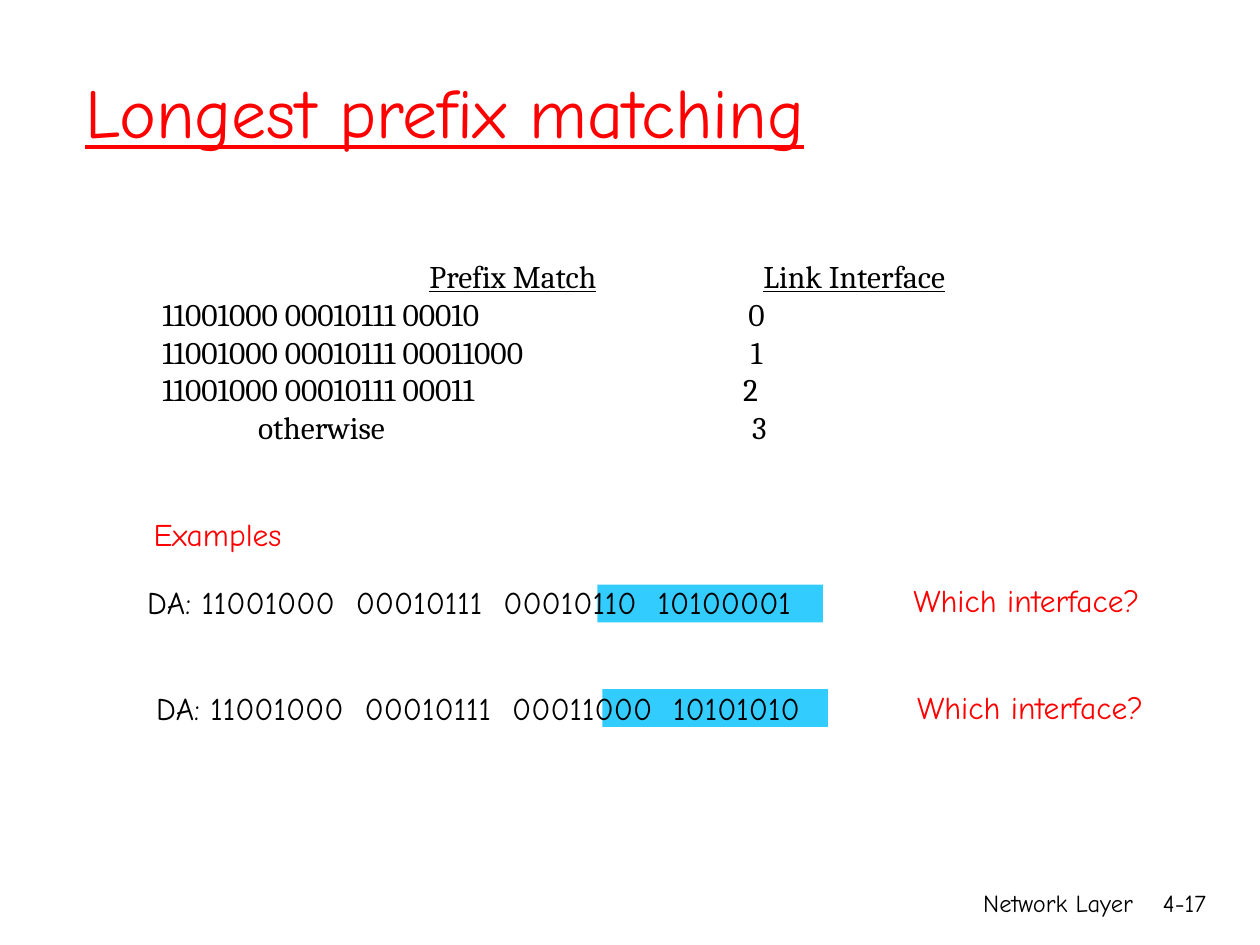
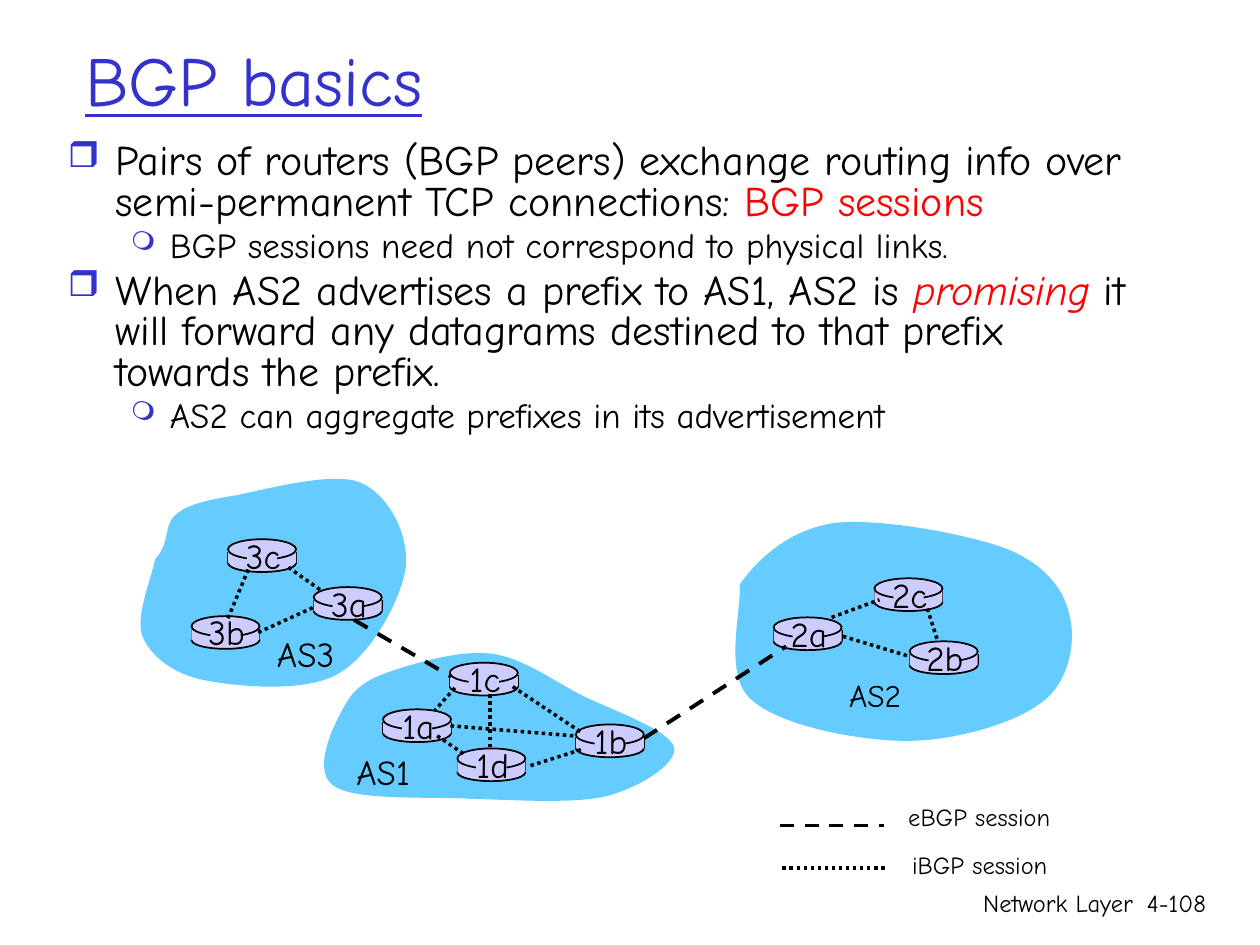
"""Builds two network layer slides: longest prefix matching and BGP basics."""
from lxml import etree
from pptx import Presentation
from pptx.dml.color import RGBColor
from pptx.enum import dml, shapes, text
from pptx.oxml.ns import qn
from pptx.util import Inches, Pt

BLACK = RGBColor(0x00, 0x00, 0x00)
RED = RGBColor(0xFF, 0x00, 0x00)
INDIGO = RGBColor(0x33, 0x33, 0xCC)
HIGHLIGHT = RGBColor(0x33, 0xCC, 0xFF)
CLOUD = RGBColor(0x66, 0xCC, 0xFF)
ROUTER = RGBColor(0xCC, 0xCC, 0xFF)
HAND, SERIF = "Comic Neue", "Cambria"
LEFT, CENTER, RIGHT = text.PP_ALIGN.LEFT, text.PP_ALIGN.CENTER, text.PP_ALIGN.RIGHT
DASH, DOT = dml.MSO_LINE.DASH, dml.MSO_LINE.ROUND_DOT

# (first column, second column, first tab stop, second tab stop)
FORWARDING = [
    ("Prefix Match", "Link Interface", 2.67, 5.32),
    ("11001000 00010111 00010", "0", 0.55, 5.2),
    ("11001000 00010111 00011000", "1", 0.55, 5.22),
    ("11001000 00010111 00011", "2", 0.55, 5.16),
    ("otherwise", "3", 1.31, 5.23),
]
# (address, address corner, highlight corner, question corner)
EXAMPLES = [
    ("DA: 11001000  00010111  00010110  10100001", (1.07, 4.58), (4.74, 4.64), (7.15, 4.56)),
    ("DA: 11001000  00010111  00011000  10101010", (1.14, 5.42), (4.78, 5.47), (7.18, 5.41)),
]
BGP_POINTS = [
    (0, [("Pairs of routers (BGP peers) exchange routing info over semi-permanent "
          "TCP connections: ", BLACK, False), ("BGP sessions", RED, False)]),
    (1, [("BGP sessions need not correspond to physical links.", BLACK, False)]),
    (0, [("When AS2 advertises a prefix to AS1, AS2 is ", BLACK, False),
         ("promising", RED, True),
         (" it will forward any datagrams destined to that prefix towards the prefix.",
          BLACK, False)]),
    (1, [("AS2 can aggregate prefixes in its advertisement", BLACK, False)]),
]
# (bullet, bullet percent, left margin, hanging indent, text size)
LEVELS = [("❒", 85, 0.38, 0.38, 24), ("❍", 75, 0.81, 0.31, 20)]

# Start point, then (control, control, end) for each curve
CLOUDS = [
    ((5.87, 4.64), [
        (6.02, 4.43, 6.27, 4.2, 6.63, 4.15), (6.98, 4.11, 7.69, 4.24, 8, 4.36),
        (8.31, 4.49, 8.45, 4.69, 8.49, 4.89), (8.54, 5.09, 8.49, 5.42, 8.26, 5.58),
        (8.04, 5.75, 7.54, 5.89, 7.15, 5.88), (6.76, 5.87, 6.16, 5.75, 5.95, 5.54),
        (5.74, 5.34, 5.89, 4.83, 5.87, 4.64)]),
    ((1.23, 4.44), [
        (1.36, 4.3, 1.29, 4.17, 1.4, 4.08), (1.5, 4, 1.64, 3.97, 1.88, 3.93),
        (2.13, 3.88, 2.64, 3.74, 2.86, 3.83), (3.09, 3.93, 3.25, 4.25, 3.22, 4.51),
        (3.18, 4.76, 2.95, 5.2, 2.68, 5.35), (2.42, 5.5, 1.88, 5.45, 1.63, 5.4),
        (1.37, 5.35, 1.2, 5.21, 1.13, 5.05), (1.07, 4.89, 1.21, 4.57, 1.23, 4.44)]),
    ((2.76, 5.56), [
        (2.86, 5.4, 3.03, 5.35, 3.22, 5.29), (3.42, 5.23, 3.69, 5.16, 3.92, 5.19),
        (4.15, 5.23, 4.36, 5.38, 4.6, 5.51), (4.84, 5.63, 5.31, 5.79, 5.35, 5.93),
        (5.38, 6.06, 5.08, 6.25, 4.81, 6.32), (4.55, 6.38, 4.1, 6.35, 3.74, 6.34),
        (3.38, 6.32, 2.8, 6.36, 2.64, 6.23), (2.47, 6.1, 2.66, 5.72, 2.76, 5.56)]),
]
ROUTERS = {
    "3b": (1.52, 4.89), "1d": (3.63, 5.94), "3a": (2.49, 4.66), "1c": (3.57, 5.26),
    "2a": (6.14, 4.9), "1a": (3.04, 5.63), "2c": (6.94, 4.59), "2b": (7.22, 5.09),
    "1b": (4.57, 5.75), "3c": (1.81, 4.28),
}
EBGP = [(2.81, 4.92, 3.58, 5.37), (5.11, 5.86, 6.24, 5.13)]
IBGP = [
    (6.69, 5.05, 7.22, 5.21), (2.05, 5.02, 2.49, 4.82), (3.61, 5.46, 3.45, 5.64),
    (3.89, 5.51, 3.89, 5.93), (4.07, 5.45, 4.61, 5.81), (4.61, 5.95, 4.2, 6.08),
    (4.55, 5.84, 3.57, 5.76), (6.6, 4.9, 6.98, 4.76), (2.54, 4.68, 2.27, 4.49),
    (1.97, 4.52, 1.8, 4.93), (7.36, 4.83, 7.44, 5.08), (3.47, 5.84, 3.69, 5.99),
]
SYSTEMS = [("AS3", 2.1, 4.97, 0.77, 20), ("AS1", 2.73, 5.91, 0.72, 20),
           ("AS2", 6.64, 5.32, 0.71, 18)]
# (label, label corner, line start, line style)
LEGEND = [("eBGP session", (7.11, 6.32), (6.19, 6.55), DASH),
          ("iBGP session", (7.14, 6.7), (6.21, 6.89), DOT)]


def add_frame(slide, left, top, width, height, grow=False):
    box = slide.shapes.add_textbox(*map(Inches, (left, top, width, height)))
    frame = box.text_frame
    frame.word_wrap = not grow
    if grow:
        frame.auto_size = text.MSO_AUTO_SIZE.SHAPE_TO_FIT_TEXT
    return frame


def style(paragraph, size, color=None, face=HAND):
    paragraph.font.name = face
    paragraph.font.size = Pt(size)
    if color is not None:
        paragraph.font.color.rgb = color


def add_label(slide, words, bounds, size, color=BLACK, align=LEFT, grow=True):
    frame = add_frame(slide, *bounds, grow=grow)
    paragraph = frame.paragraphs[0]
    paragraph.text = words
    paragraph.alignment = align
    style(paragraph, size, color)
    return frame


def paint(shape, fill):
    shape.shadow.inherit = False
    shape.fill.solid()
    shape.fill.fore_color.rgb = fill
    shape.line.fill.background()


def add_shape(slide, kind, bounds, fill, outlined=False):
    shape = slide.shapes.add_shape(kind, *map(Inches, bounds))
    paint(shape, fill)
    if outlined:
        shape.line.color.rgb = BLACK
        shape.line.width = Pt(1)


def add_line(slide, ends, width, dash=None):
    line = slide.shapes.add_connector(shapes.MSO_CONNECTOR.STRAIGHT, *map(Inches, ends))
    line.line.color.rgb = BLACK
    line.line.width = Pt(width)
    if dash is not None:
        line.line.dash_style = dash
    etree.SubElement(line._element.spPr, qn("a:effectLst"))


def add_cloud(slide, start, curves):
    outline = slide.shapes.build_freeform(*map(Inches, start))
    outline.add_line_segments(
        [(Inches(curve[i]), Inches(curve[i + 1])) for curve in curves for i in (0, 2, 4)])
    cloud = outline.convert_to_shape()
    paint(cloud, CLOUD)
    segments = list(cloud._element.iter(qn("a:lnTo")))
    for first, second, end in zip(segments[::3], segments[1::3], segments[2::3]):
        first.addprevious(bezier := etree.Element(qn("a:cubicBezTo")))
        for segment in (first, second, end):
            bezier.append(segment[0])
            segment.getparent().remove(segment)
    etree.SubElement(bezier.getparent(), qn("a:close"))


def add_router(slide, label, x, y):
    oval, rect = shapes.MSO_SHAPE.OVAL, shapes.MSO_SHAPE.RECTANGLE
    width = 0.54
    add_shape(slide, oval, (x, y + 0.12, width, 0.14), ROUTER, outlined=True)
    for side in (x, x + width):
        add_line(slide, (side, y + 0.1, side, y + 0.19), 1)
    add_shape(slide, rect, (x, y + 0.1, width, 0.09), ROUTER)
    add_shape(slide, oval, (x, y, width, 0.16), ROUTER, outlined=True)
    add_shape(slide, rect, (x + 0.15, y + 0.02, 0.24, 0.21), ROUTER)
    add_label(slide, label, (x + 0.01, y - 0.09, width, 0.43), 20, align=CENTER)


def start_slide(deck, title, top, color, number):
    slide = deck.slides.add_slide(deck.slide_layouts[6])
    add_label(slide, "Network Layer", (5.92, 7, 3.17, 0.5), 14, align=RIGHT, grow=False)
    add_label(slide, number, (8.93, 7, 0.74, 0.5), 14, align=RIGHT, grow=False)
    heading = add_label(slide, title, (0.58, top, 8.5, 1.25), 40, color, grow=False)
    heading.vertical_anchor = text.MSO_ANCHOR.MIDDLE
    heading.paragraphs[0].font.underline = True
    return slide


def add_forwarding(slide):
    frame = add_frame(slide, 0.64, 1.99, 7.15, 1.6)
    frame.vertical_anchor = text.MSO_ANCHOR.MIDDLE
    for row, (prefix, link, *stops) in enumerate(FORWARDING):
        paragraph = frame.paragraphs[0] if row == 0 else frame.add_paragraph()
        tabs = etree.SubElement(paragraph._p.get_or_add_pPr(), qn("a:tabLst"))
        for stop in stops:
            etree.SubElement(tabs, qn("a:tab"), pos=str(Inches(stop)), algn="l")
        style(paragraph, 18, BLACK, SERIF)
        for words in ("\t", prefix, "\t", link):
            run = paragraph.add_run()
            run.text = words
            if row == 0:
                run.font.underline = words != "\t"


def add_points(slide):
    frame = add_frame(slide, 0.44, 1.09, 8.64, 2.53)
    for index, (level, runs) in enumerate(BGP_POINTS):
        bullet, percent, margin, hanging, size = LEVELS[level]
        paragraph = frame.paragraphs[0] if index == 0 else frame.add_paragraph()
        paragraph.level = level
        props = paragraph._p.get_or_add_pPr()
        props.set("marL", str(Inches(margin)))
        props.set("indent", str(-Inches(hanging)))
        bullet_color = etree.SubElement(props, qn("a:buClr"))
        etree.SubElement(bullet_color, qn("a:srgbClr"), val=str(INDIGO))
        etree.SubElement(props, qn("a:buSzPct"), val=str(percent * 1000))
        etree.SubElement(props, qn("a:buChar"), char=bullet)
        paragraph.line_spacing = 0.8
        if index:
            paragraph.space_before = Pt(size * 0.2)
        style(paragraph, size)
        for words, color, italic in runs:
            run = paragraph.add_run()
            run.text = words
            run.font.color.rgb = color
            if italic:
                run.font.italic = True


def build_prefix_slide(deck):
    slide = start_slide(deck, "Longest prefix matching", 0.25, RED, "4-17")
    add_forwarding(slide)
    add_label(slide, "Examples", (1.12, 4.04, 1.29, 0.4), 18, RED)
    for address, address_at, highlight_at, question_at in EXAMPLES:
        add_shape(slide, shapes.MSO_SHAPE.RECTANGLE, (*highlight_at, 1.79, 0.3), HIGHLIGHT)
        add_label(slide, address, (*address_at, 5.61, 0.4), 18)
        add_label(slide, "Which interface?", (*question_at, 2.25, 0.4), 18, RED)


def build_bgp_slide(deck):
    slide = start_slide(deck, "BGP basics", 0, INDIGO, "4-108")
    add_points(slide)
    for start, curves in CLOUDS:
        add_cloud(slide, start, curves)
    for label, (x, y) in ROUTERS.items():
        add_router(slide, label, x, y)
    for ends in EBGP:
        add_line(slide, ends, 2.25, DASH)
    for ends in IBGP:
        add_line(slide, ends, 2, DOT)
    for name, x, y, width, size in SYSTEMS:
        add_label(slide, name, (x, y, width, 0.43), size)
    for label, label_at, (x, y), dash in LEGEND:
        add_line(slide, (x, y, x + 0.83, y), 2, dash)
        add_label(slide, label, (*label_at, 1.35, 0.33), 14)


def main():
    deck = Presentation()
    deck.slide_width, deck.slide_height = Inches(10), Inches(7.5)
    build_prefix_slide(deck)
    build_bgp_slide(deck)
    deck.save("out.pptx")


if __name__ == "__main__":
    main()
